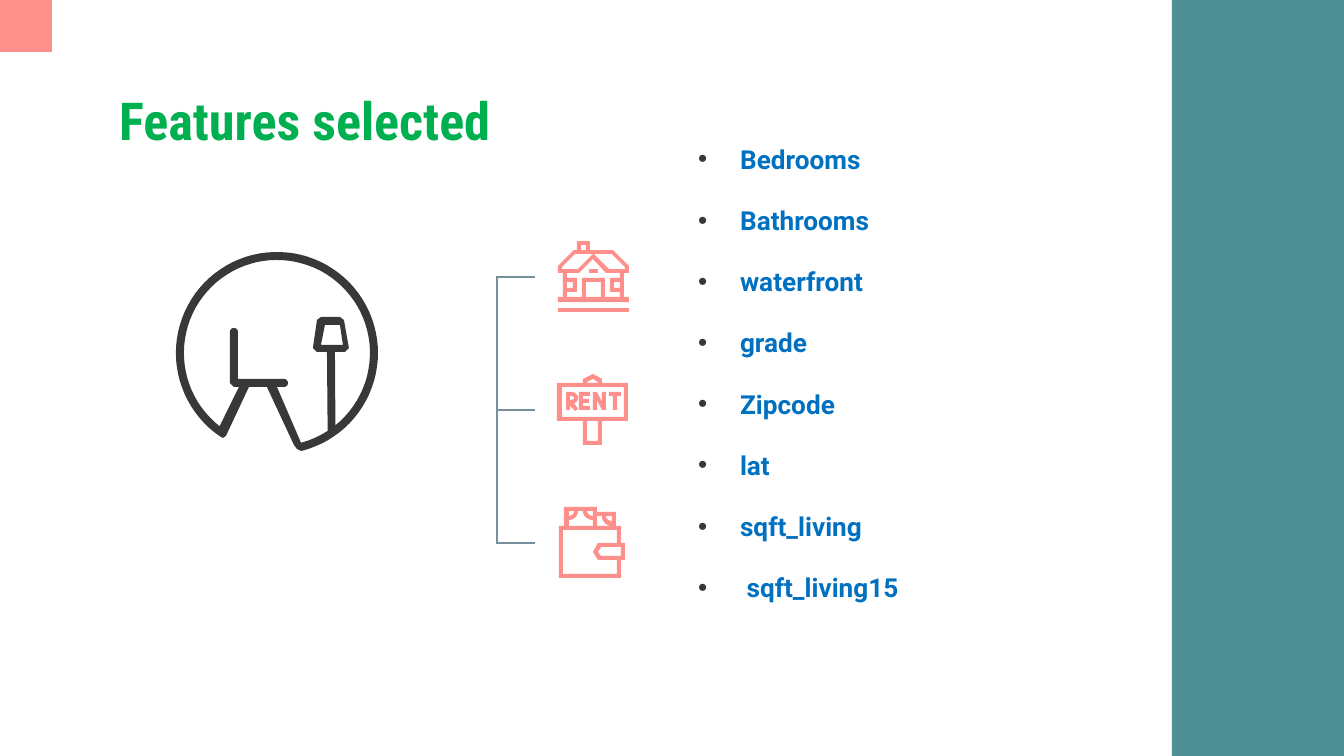
from dataclasses import dataclass
from math import cos, radians, sin

from lxml import etree
from pptx import Presentation
from pptx.dml.color import RGBColor
from pptx.enum.shapes import MSO_CONNECTOR, MSO_SHAPE
from pptx.enum.text import MSO_ANCHOR, MSO_AUTO_SIZE, PP_ALIGN
from pptx.oxml.ns import qn
from pptx.util import Emu, Pt

RECT, LINE = MSO_SHAPE.RECTANGLE, MSO_CONNECTOR.STRAIGHT
LEFT, TOP, MIDDLE = PP_ALIGN.LEFT, MSO_ANCHOR.TOP, MSO_ANCHOR.MIDDLE
NO_FIT = MSO_AUTO_SIZE.NONE
SCALE = 914400 / 134.4  # EMU per px
FINE = 10  # freeform steps per px


@dataclass(frozen=True)
class Theme:
    green: str = "00B050"
    blue: str = "0070C0"
    coral: str = "FF8F8A"
    teal: str = "4F9096"
    slate: str = "78909C"
    dark: str = "383838"
    head: str = "Roboto Condensed"
    body: str = "Roboto"
    big: int = 28
    small: int = 14
    gap: int = 16
    rule: float = 1.5


def px(n):
    return Emu(round(n * SCALE))


def rgb(code):
    return RGBColor.from_string(code)


def box(left, top, right, low):
    return [(left, top), (right, top), (right, low), (left, low)]


def arc(x, y, rx, ry, start, end):
    """Points along an oval; angles run clockwise from the right."""
    steps = max(4, abs(end - start) // 4)
    turns = [radians(start + (end - start) * i / steps) for i in range(steps + 1)]
    return [(x + rx * cos(t), y + ry * sin(t)) for t in turns]


def write(para, text, *, font, size, color, bold=True):
    run = para.add_run()
    run.text = text
    run.font.name, run.font.size, run.font.bold = font, Pt(size), bold
    run.font.color.rgb = rgb(color)


class Deck:
    def __init__(self, theme):
        self.theme = theme
        self.file = Presentation()
        self.file.slide_width, self.file.slide_height = px(1344), px(756)
        self.slide = self.file.slides.add_slide(self.file.slide_layouts[1])

    def group(self):
        return self.slide.shapes.add_group_shape().shapes

    def paint(self, shape, color):
        shape.shadow.inherit = False
        shape.fill.solid()
        shape.fill.fore_color.rgb = rgb(color)
        shape.line.fill.background()

    def block(self, left, top, width, height, color):
        shape = self.slide.shapes.add_shape(RECT, *map(px, (left, top, width, height)))
        self.paint(shape, color)

    def frame(self, index, left, top, width, height, anchor):
        holder = self.slide.placeholders[index]
        holder.left, holder.top = px(left), px(top)
        holder.width, holder.height = px(width), px(height)
        frame = holder.text_frame
        frame.word_wrap, frame.auto_size = True, NO_FIT
        frame.vertical_anchor = anchor
        frame.margin_left = frame.margin_right = px(13)
        frame.margin_top = frame.margin_bottom = px(13)
        return frame

    def title(self, text, *place):
        para = self.frame(0, *place, MIDDLE).paragraphs[0]
        para.alignment = LEFT
        write(para, text, font=self.theme.head, size=self.theme.big,
              color=self.theme.green)

    def list(self, items, *place):
        frame = self.frame(1, *place, TOP)
        for i, item in enumerate(items):
            para = frame.add_paragraph() if i else frame.paragraphs[0]
            para.alignment = LEFT
            para.space_before, para.space_after = Pt(0), Pt(self.theme.gap)
            write(para, item, font=self.theme.body, size=self.theme.small,
                  color=self.theme.blue)
            self.bullet(para)

    def bullet(self, para):
        props = para._p.get_or_add_pPr()
        props.set("marL", str(px(42)))
        props.set("indent", str(-px(42)))
        tint = etree.SubElement(props, qn("a:buClr"))
        etree.SubElement(tint, qn("a:srgbClr"), val=self.theme.dark)
        etree.SubElement(props, qn("a:buFont"), typeface="Arial")
        etree.SubElement(props, qn("a:buChar"), char="•")

    def line(self, shapes, x1, y1, x2, y2):
        line = shapes.add_connector(LINE, *map(px, (x1, y1, x2, y2)))
        line.line.color.rgb = rgb(self.theme.slate)
        line.line.width = Pt(self.theme.rule)
        etree.SubElement(line._element.spPr, qn("a:effectLst"))

    def icon(self, shapes, color, *loops):
        """One filled outline; inner loops cut holes."""
        pen = None
        for loop in loops:
            first, *rest = [(x * FINE, y * FINE) for x, y in loop]
            if pen:
                pen.move_to(*first)
            else:
                pen = shapes.build_freeform(*first, scale=SCALE / FINE)
            pen.add_line_segments(rest, close=True)
        self.paint(pen.convert_to_shape(), color)


def sign(deck):
    shapes, coral = deck.group(), deck.theme.coral
    # Letters N, E, T, R
    deck.icon(shapes, coral, [
        (602, 392), (602, 402), (597, 392), (593, 392), (593, 410), (597, 410),
        (597, 400), (602, 410), (606, 410), (606, 392)])
    deck.icon(shapes, coral, [
        (579, 392), (579, 410), (590, 410), (590, 406), (583, 406), (583, 403),
        (589, 403), (589, 399), (583, 399), (583, 396), (590, 396), (590, 392)])
    deck.icon(shapes, coral, [
        (609, 392), (609, 396), (613, 396), (613, 410), (617, 410), (617, 396),
        (621, 396), (621, 392)])
    deck.icon(shapes, coral,
              [(570, 396), *arc(571, 398, 3, 2, -90, 90), (570, 400)],
              [(566, 392), (566, 410), (570, 410), (570, 406), (575, 411),
               (578, 409), (574, 403), *arc(571, 398, 7, 6, 60, -90)])
    # Board and post
    deck.icon(shapes, coral,
              [(593, 379), (598, 382), (598, 383), (587, 383), (587, 382)],
              box(562, 387, 624, 417), box(587, 421, 598, 441),
              [(593, 374), (583, 379), (583, 383), (557, 383), (557, 421),
               (583, 421), (583, 445), (602, 445), (602, 421), (628, 421),
               (628, 383), (602, 383), (602, 379)])


def house(deck):
    shapes, coral = deck.group(), deck.theme.coral
    deck.icon(shapes, coral, box(558, 308, 629, 312))
    deck.icon(shapes, coral,
              box(581, 245, 586, 250), box(567, 282, 573, 288),
              box(614, 282, 620, 288), box(586, 282, 601, 297),
              [(612, 254), (625, 267), (625, 269), (609, 269), (594, 254)],
              [(593, 254), (578, 269), (562, 269), (562, 267), (575, 254)],
              [(593, 259), (606, 273), (620, 273), (620, 278), (610, 278),
               (610, 292), (620, 292), (620, 297), (605, 297), (605, 278),
               (582, 278), (582, 297), (567, 297), (567, 292), (577, 292),
               (577, 278), (567, 278), (567, 273), (579, 273)],
              [(577, 241), (577, 250), (574, 250), (558, 266), (558, 273),
               (563, 273), (563, 297), (558, 297), (558, 302), (629, 302),
               (629, 297), (624, 297), (624, 273), (629, 273), (629, 266),
               (613, 250), (590, 250), (590, 241)])
    deck.icon(shapes, coral, box(589, 269, 598, 273))


def purse(deck):
    deck.icon(deck.slide.shapes, deck.theme.coral,
              # Notes
              [(569, 511), *arc(569, 511, 5, 5, 0, 90)],
              [(593, 511), *arc(593, 511, 6, 5, 90, 180)],
              [(612, 516), *arc(612, 516, 6, 5, 90, 180)],
              [*arc(593, 511, 10, 9, 180, 90), (593, 526), (569, 526),
               *arc(569, 511, 9, 9, 90, 0)],
              [*arc(612, 516, 10, 10, 180, 90), (597, 526), (597, 516)],
              # Clasp, pocket and rim
              [(621, 547), (621, 556), (601, 556), (598, 552), (601, 547)],
              [(617, 530), (617, 543), (598, 543), (593, 552), (598, 560),
               (617, 560), (617, 574), (563, 574), (563, 530)],
              [(564, 507), (564, 526), (559, 526), (559, 578), (621, 578),
               (621, 560), (625, 560), (625, 543), (621, 543), (621, 526),
               (616, 526), (616, 512), (597, 512), (597, 507)])


def tree(deck):
    shapes = deck.group()
    deck.line(shapes, 497, 276, 497, 544)
    for row in range(3):
        y = 277 + 133 * row
        deck.line(shapes, 497, y, 535, y)


def room(deck):
    deck.icon(deck.slide.shapes, deck.theme.dark,
              # Lamp shade
              [(325, 325), (340, 325), (343, 345), (321, 345)],
              # Space around lamp and chair
              [*arc(277, 353, 93, 93, 128, 411), (335, 352), (345, 352),
               (349, 348), (344, 320), (340, 317), (321, 317), (317, 320),
               (313, 348), (317, 352), (327, 352),
               *arc(277, 353, 93, 93, 57, 75), (277, 387),
               *arc(284, 383, 4, 4, 90, -90), (238, 379),
               *arc(234, 332, 4, 4, 0, -180), (230, 383), (234, 387), (239, 387)],
              # Rim and chair legs
              [*arc(277, 353, 101, 101, 124, 436), (297, 449), (294, 445),
               (267, 387), (249, 387), (226, 436), (223, 438)])


def main():
    deck = Deck(Theme())
    # Side band and corner
    deck.block(1172, 0, 172, 756, deck.theme.teal)
    deck.block(0, 0, 52, 52, deck.theme.coral)
    # Title and list
    deck.title("Features selected", 106, 79, 1133, 82)
    deck.list(["Bedrooms", "Bathrooms", "waterfront", "grade", "Zipcode", "lat",
               "sqft_living", " sqft_living15"], 685, 130, 415, 493)
    # Icons and bracket
    for draw in (sign, house, purse, tree, room):
        draw(deck)
    deck.file.save("out.pptx")


if __name__ == "__main__":
    main()
